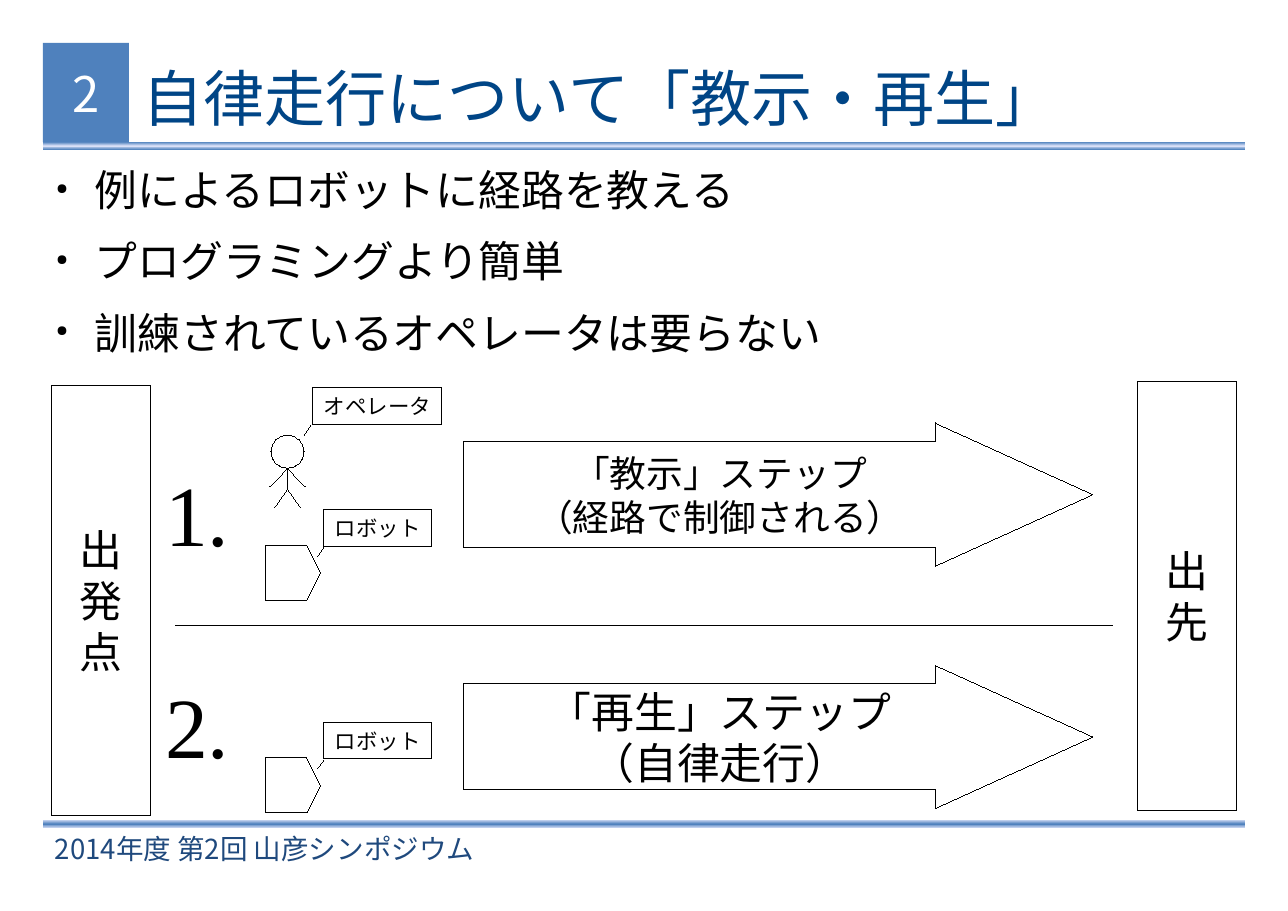
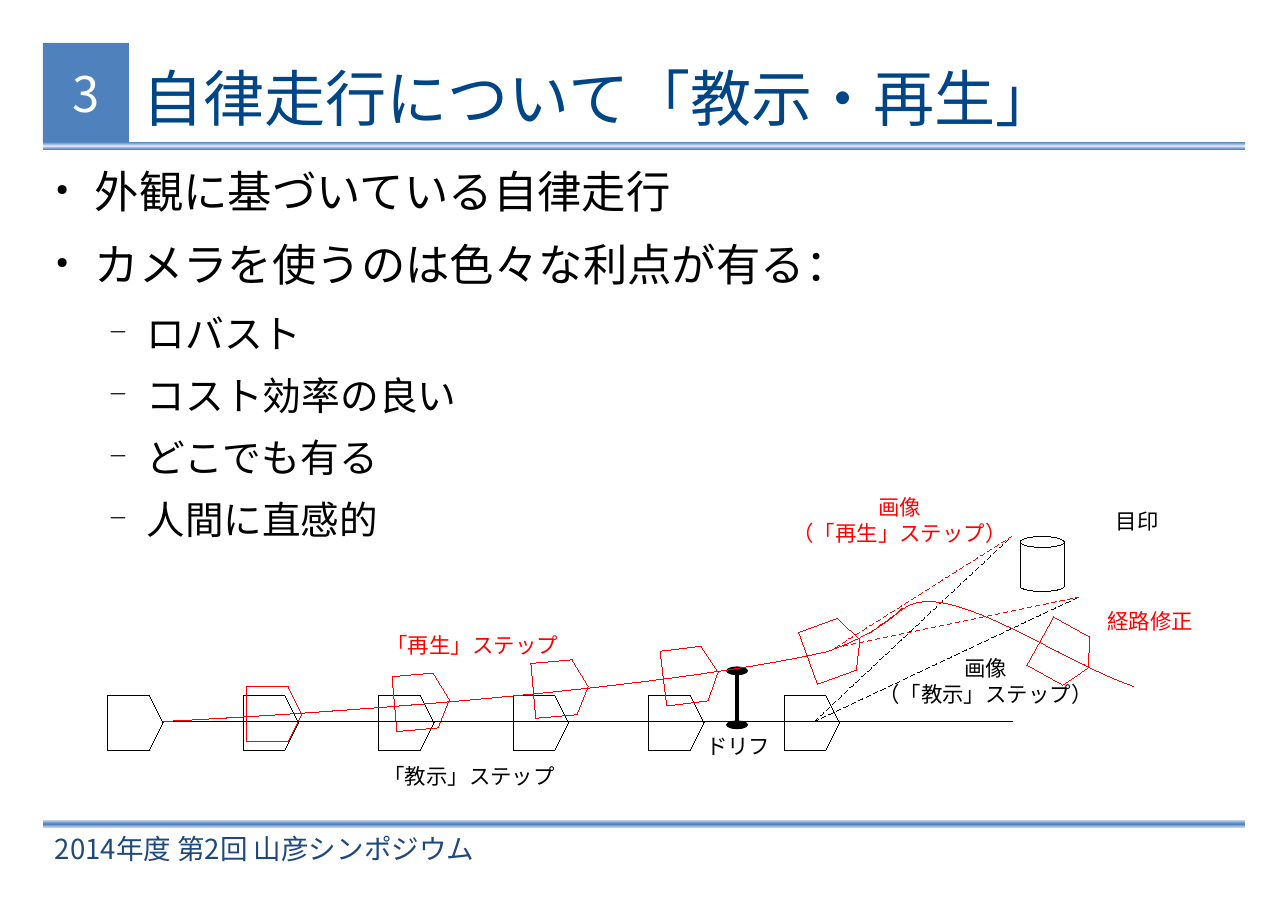
"""Build two slides that explain teach-and-replay robot navigation."""
from copy import deepcopy
from dataclasses import dataclass

from lxml import etree
from pptx import Presentation
from pptx.dml.color import RGBColor
from pptx.enum.dml import MSO_LINE
from pptx.enum.shapes import MSO_CONNECTOR, MSO_SHAPE
from pptx.enum.text import MSO_ANCHOR, PP_ALIGN
from pptx.oxml.ns import qn
from pptx.util import Pt

PX = 9144
RECTANGLE, ELLIPSE, CAN = MSO_SHAPE.RECTANGLE, MSO_SHAPE.OVAL, MSO_SHAPE.CAN
ROBOT, ARROW = MSO_SHAPE.PENTAGON, MSO_SHAPE.RIGHT_ARROW
STRAIGHT, DASH = MSO_CONNECTOR.STRAIGHT, MSO_LINE.DASH
LEFT, CENTER = PP_ALIGN.LEFT, PP_ALIGN.CENTER
TOP, MIDDLE = MSO_ANCHOR.TOP, MSO_ANCHOR.MIDDLE


@dataclass(frozen=True)
class Theme:
    black: RGBColor = RGBColor(0, 0, 0)
    white: RGBColor = RGBColor(255, 255, 255)
    red: RGBColor = RGBColor(255, 0, 0)
    blue: RGBColor = RGBColor(0x4F, 0x81, 0xBD)
    pale: RGBColor = RGBColor(0xDA, 0xE1, 0xF8)
    title: RGBColor = RGBColor(0, 0x45, 0x86)
    footer: RGBColor = RGBColor(0x1F, 0x49, 0x7D)
    sans: str = "Noto Sans CJK JP"
    heading_font: str = "Arial"
    diagram_font: str = "Times New Roman"
    title_size: float = 39.9
    number_size: float = 32
    footer_size: float = 18
    label_size: float = 14
    step_size: float = 56
    place_size: float = 28


THEME = Theme()


def write(shape, text, size, color=THEME.black, font=THEME.diagram_font,
          align=LEFT, anchor=TOP, margins=(10, 5), wrap=False):
    frame = shape.text_frame
    frame.text = text
    frame.word_wrap = wrap
    frame.vertical_anchor = anchor
    frame.margin_left = frame.margin_right = margins[0] * PX
    frame.margin_top = frame.margin_bottom = margins[1] * PX
    for para in frame.paragraphs:
        para.alignment = align
        for span in para.runs:
            span.font.size = Pt(size)
            span.font.name = font
            span.font.color.rgb = color
            east_asian = etree.SubElement(span.font._element, qn("a:ea"))
            east_asian.set("typeface", THEME.sans)


def outline(item, color=THEME.black, width=0):
    item.line.color.rgb = color
    item.line._ln.set("w", str(Pt(width)))
    if hasattr(item, "fill"):
        item.fill.background()
    etree.SubElement(item._element.spPr, qn("a:effectLst"))


deck = Presentation()
deck.slide_width, deck.slide_height = 1169 * PX, 827 * PX

BULLETS = [(47, "●", 35, 12.8), (94, "−", 65, 10.2)]
CONTENT = [
    (180, [(0, 28, "例によるロボットに経路を教える"),
           (0, 28, "プログラミングより簡単"),
           (0, 28, "訓練されているオペレータは要らない")]),
    (595, [(0, 29, "外観に基づいている自律走行"),
           (0, 29, "カメラを使うのは色々な利点が有る："),
           (1, 25.3, "ロバスト"),
           (1, 25.3, "コスト効率の良い"),
           (1, 25.3, "どこでも有る"),
           (1, 25.2, "人間に直感的")]),
]
BANDS = [(129, 7, (THEME.blue, THEME.pale, THEME.blue)),
         (744, 8, (THEME.pale, THEME.blue, THEME.pale))]

pages = []
for number, (body_height, items) in enumerate(CONTENT, start=2):
    page = deck.slides.add_slide(deck.slide_layouts[6])
    pages.append(page)

    for top, height, colors in BANDS:
        band = page.shapes.add_shape(RECTANGLE, 39 * PX, top * PX, 1091 * PX, height * PX)
        band.shadow.inherit = False
        band.line.fill.background()
        band.fill.gradient()
        band.fill.gradient_angle = 90
        stop_list = band._element.spPr.find(".//" + qn("a:gsLst"))
        stop_list.append(deepcopy(stop_list[0]))
        for stop, color, position in zip(band.fill.gradient_stops, colors, (0, 0.5, 1)):
            stop.color.rgb = color
            stop.position = position

    badge = page.shapes.add_shape(RECTANGLE, 39 * PX, 39 * PX, 78 * PX, 90 * PX)
    badge.shadow.inherit = False
    badge.line.fill.background()
    badge.fill.solid()
    badge.fill.fore_color.rgb = THEME.blue
    write(badge, str(number), THEME.number_size, THEME.white, THEME.sans, CENTER, MIDDLE, (0, 0))

    footer = page.shapes.add_textbox(40 * PX, 752 * PX, 669 * PX, 36 * PX)
    write(footer, "2014年度 第2回 山彦シンポジウム", THEME.footer_size, THEME.footer,
          THEME.sans, anchor=MIDDLE, wrap=True)
    title = page.shapes.add_textbox(129 * PX, 41 * PX, 971 * PX, 95 * PX)
    write(title, "自律走行について「教示・再生」", THEME.title_size, THEME.title,
          THEME.heading_font, anchor=MIDDLE, margins=(0, 0), wrap=True)

    body = page.shapes.add_textbox(39 * PX, 149 * PX, 1091 * PX, body_height * PX)
    write(body, "\n".join(text for _, _, text in items), items[0][1],
          font=THEME.heading_font, margins=(0, 0), wrap=True)
    for para, (level, size, _) in zip(body.text_frame.paragraphs, items):
        margin, mark, mark_size, space = BULLETS[level]
        para.level = level
        para.space_after = Pt(space)
        para.runs[0].font.size = Pt(size)
        properties = para._p.get_or_add_pPr()
        properties.set("marL", str(margin * PX))
        properties.set("indent", str(-35 * PX))
        mark_color = etree.SubElement(properties, qn("a:buClr"))
        etree.SubElement(mark_color, qn("a:srgbClr")).set("val", str(THEME.black))
        etree.SubElement(properties, qn("a:buSzPct")).set("val", str(mark_size * 1000))
        etree.SubElement(properties, qn("a:buChar")).set("char", mark)

steps_page, path_page = pages

for left, top, text in [(47, 350, "出\n発\n点"), (1032, 346, "出\n先")]:
    place = steps_page.shapes.add_shape(RECTANGLE, left * PX, top * PX, 90 * PX, 390 * PX)
    outline(place)
    write(place, text, THEME.place_size, align=CENTER, anchor=MIDDLE)

STEPS = [("1.", 413, 384, 24, "「教示」ステップ\n（経路で制御される）"),
         ("2.", 606, 604, 28, "「再生」ステップ\n（自律走行）")]
for step, number_top, arrow_top, size, text in STEPS:
    step_number = steps_page.shapes.add_textbox(140 * PX, number_top * PX, 100 * PX, 96 * PX)
    write(step_number, step, THEME.step_size, wrap=True)
    arrow = steps_page.shapes.add_shape(ARROW, 421 * PX, arrow_top * PX, 571 * PX, 130 * PX)
    arrow.adjustments[0], arrow.adjustments[1] = 0.741, 1.102
    outline(arrow)
    write(arrow, text, size, align=CENTER, anchor=MIDDLE)

for left, top, width, text in [(284, 352, 117, "オペレータ"),
                               (294, 463, 98, "ロボット"),
                               (294, 656, 98, "ロボット")]:
    tag = steps_page.shapes.add_shape(RECTANGLE, left * PX, top * PX, width * PX, 33 * PX)
    outline(tag)
    write(tag, text, THEME.label_size)

head = steps_page.shapes.add_shape(ELLIPSE, 246 * PX, 395 * PX, 30 * PX, 30 * PX)
outline(head)
landmark = path_page.shapes.add_shape(CAN, 926 * PX, 487 * PX, 40 * PX, 50 * PX)
landmark.adjustments[0] = 0.25
outline(landmark)

ROBOTS = [(steps_page, 241, top, 0, THEME.black) for top in (495, 688)]
ROBOTS += [(path_page, round(98 + 122.8 * index), 631, 0, THEME.black) for index in range(6)]
ROBOTS += [(path_page, left, top, angle, THEME.red) for left, top, angle in [
    (224, 623, 0), (358, 612, 355), (484, 600, 355),
    (602, 588, 353), (732, 564, 340), (941, 569, 29)]]
for page, left, top, angle, color in ROBOTS:
    robot = page.shapes.add_shape(ROBOT, left * PX, top * PX, 50 * PX, 50 * PX)
    robot.adjustments[0] = 0.25
    robot.rotation = angle
    outline(robot, color)

STICK_LIMBS = [(261, 444, 261, 425), (261, 444, 273, 461), (261, 444, 249, 461),
               (261, 425, 277, 442), (261, 425, 245, 442)]
TAG_LEADERS = [(282, 386, 276, 395), (294, 497, 288, 505), (294, 690, 288, 698)]
DIVIDER, TAUGHT_PATH = (159, 568, 1010, 568), (148, 655, 919, 655)
LINES = [(steps_page, ends, THEME.black, False) for ends in STICK_LIMBS + TAG_LEADERS + [DIVIDER]]
LINES.append((path_page, TAUGHT_PATH, THEME.black, False))
for camera, color in [((739, 655), THEME.black), ((758, 588), THEME.red)]:
    for target in [(918, 487), (979, 542)]:
        LINES.append((path_page, camera + target, color, True))
for page, ends, color, dashed in LINES:
    line = page.shapes.add_connector(STRAIGHT, *(value * PX for value in ends))
    outline(line, color)
    if dashed:
        line.line.dash_style = DASH

drift = path_page.shapes.add_connector(STRAIGHT, 669 * PX, 609 * PX, 669 * PX, 658 * PX)
outline(drift, width=2.89)
for end in ("a:headEnd", "a:tailEnd"):
    cap = etree.SubElement(drift.line._ln, qn(end))
    for name, value in [("type", "oval"), ("w", "lg"), ("len", "sm")]:
        cap.set(name, value)

REPLAYED_PATH = [[(148, 655), (148, 655), (550, 636), (749, 592)],
                 [(749, 592), (799, 575), (819, 552), (819, 552)]]
CORRECTED_PATH = [[(789, 575), (789, 575), (819, 553), (819, 553)],
                  [(819, 553), (859, 523), (959, 599), (1029, 623)]]
for curves in (REPLAYED_PATH, CORRECTED_PATH):
    points = []
    for curve in curves:
        for index in range(31):
            t = index / 30
            weights = ((1 - t) ** 3, 3 * t * (1 - t) ** 2, 3 * t * t * (1 - t), t ** 3)
            points.append([round(PX * sum(w * value for w, value in zip(weights, axis)))
                           for axis in zip(*curve)])
    builder = path_page.shapes.build_freeform(*points[0])
    builder.add_line_segments(points[1:], close=False)
    outline(builder.convert_to_shape(), THEME.red)

LABELS = [
    (787, 590, 215, 56, "画像\n（「教示」ステップ）", THEME.black, CENTER),
    (709, 444, 215, 56, "画像\n（「再生」ステップ）", THEME.red, CENTER),
    (338, 688, 190, 33, "「教示」ステップ", THEME.black, LEFT),
    (341, 569, 190, 33, "「再生」ステップ", THEME.red, LEFT),
    (1003, 456, 80, 33, "目印", THEME.black, LEFT),
    (985, 547, 118, 33, "経路修正", THEME.red, CENTER),
    (631, 661, 100, 33, "ドリフ", THEME.black, LEFT),
]
for left, top, width, height, text, color, align in LABELS:
    label = path_page.shapes.add_textbox(left * PX, top * PX, width * PX, height * PX)
    write(label, text, THEME.label_size, color, align=align, wrap=True)

deck.save("out.pptx")
